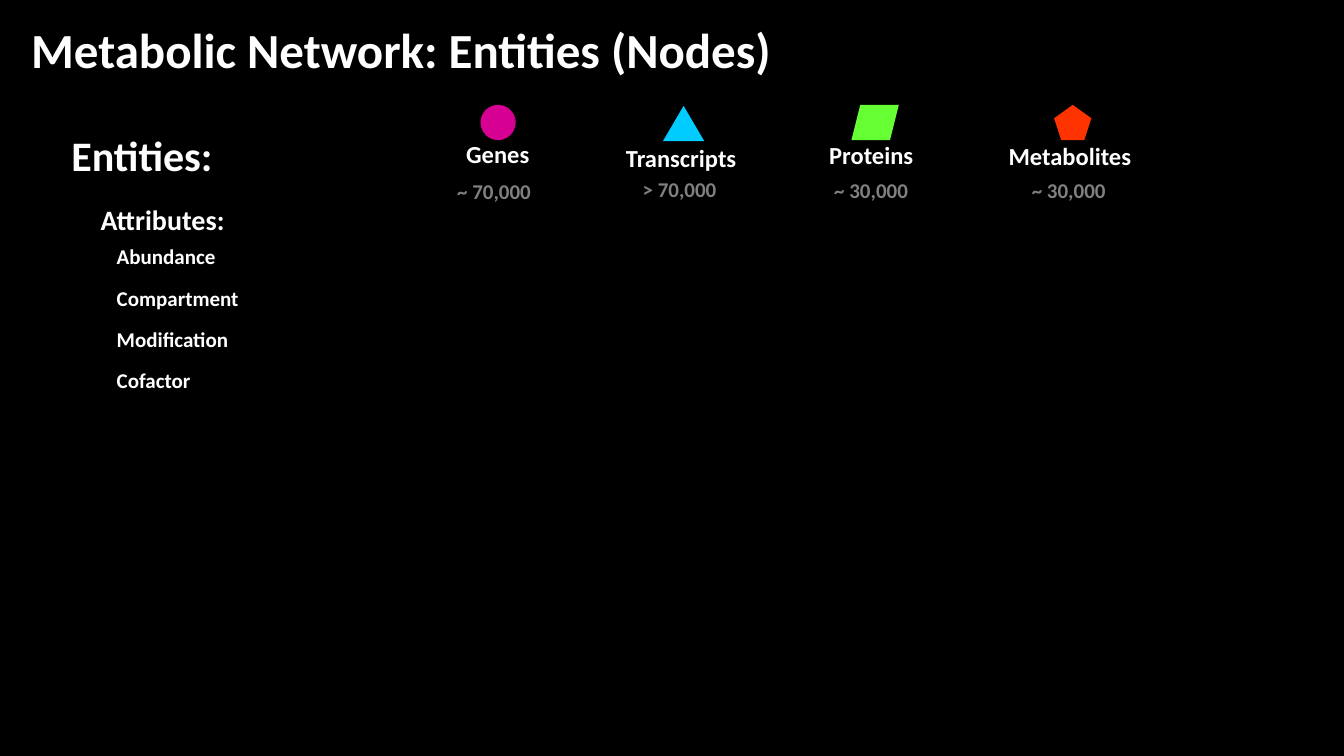
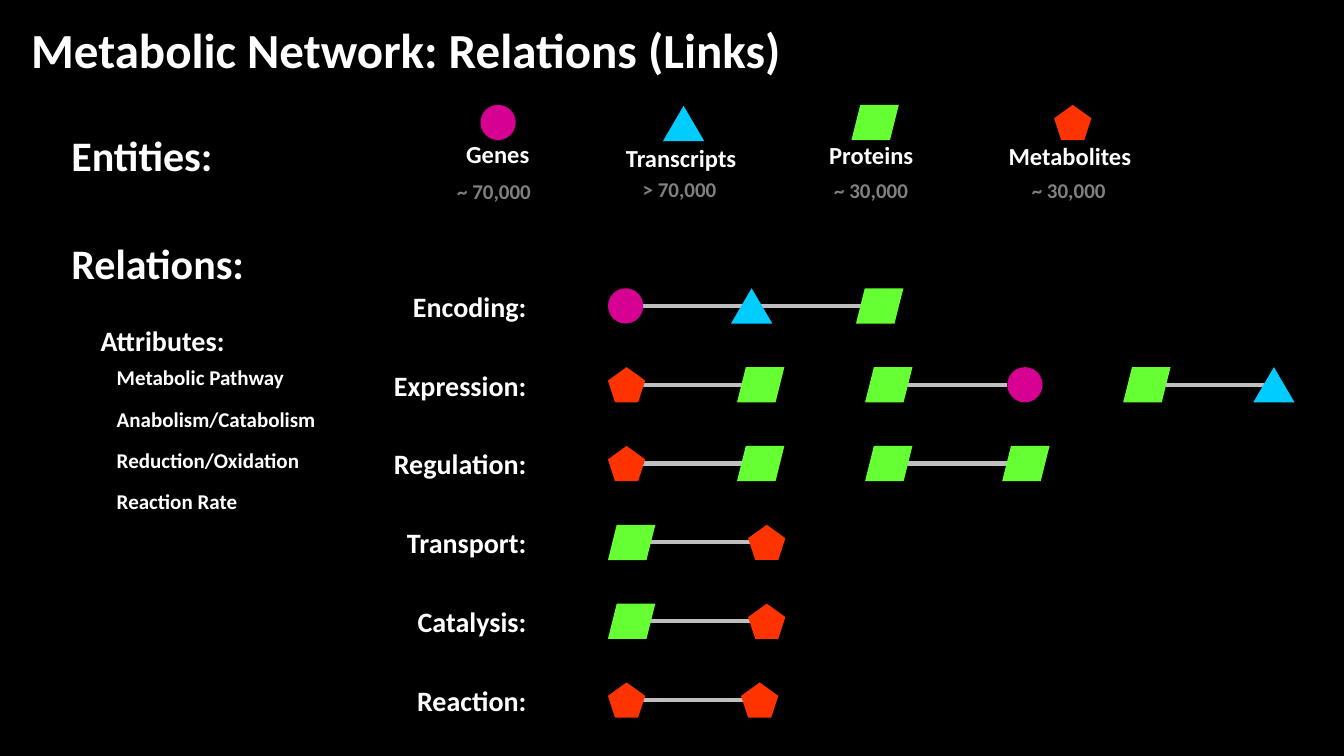
from dataclasses import dataclass

from lxml import etree
from pptx import Presentation
from pptx.dml.color import RGBColor
from pptx.enum.shapes import MSO_CONNECTOR, MSO_SHAPE
from pptx.enum.text import MSO_AUTO_SIZE, PP_ALIGN
from pptx.oxml.ns import qn
from pptx.shapes.shapetree import GroupShapes, SlideShapes
from pptx.slide import Slide
from pptx.util import Inches, Pt

STRAIGHT = MSO_CONNECTOR.STRAIGHT
LEFT, RIGHT = PP_ALIGN.LEFT, PP_ALIGN.RIGHT
GROW = MSO_AUTO_SIZE.SHAPE_TO_FIT_TEXT

FONT = "Calibri"
BLACK, WHITE, GRAY, LINK = "000000", "FFFFFF", "808080", "BFBFBF"

NODE_HEIGHT = 0.35
LINK_LENGTH = 1.0
FIRST_ROW, LAST_ROW = 2.86, 6.77
RELATION_RIGHT, RELATION_WIDTH = 5.32, 1.7
COUNT_WIDTH = 1.01
ATTRIBUTE_STEP = 0.41

Shapes = SlideShapes | GroupShapes


@dataclass(frozen=True)
class Node:
    kind: MSO_SHAPE
    color: str
    width: float


@dataclass(frozen=True)
class Entity:
    node: Node
    center: float
    top: float
    name: str
    name_top: float
    name_width: float
    count: str
    count_top: float


@dataclass(frozen=True)
class Relation:
    name: str
    links: tuple[float, ...]
    nodes: tuple[tuple[Node, float], ...]


GENE = Node(MSO_SHAPE.OVAL, "D60093", 0.35)
TRANSCRIPT = Node(MSO_SHAPE.ISOSCELES_TRIANGLE, "00CCFF", 0.41)
PROTEIN = Node(MSO_SHAPE.PARALLELOGRAM, "66FF33", 0.47)
METABOLITE = Node(MSO_SHAPE.REGULAR_PENTAGON, "FF3300", 0.37)

ENTITIES = (
    Entity(GENE, 4.94, 1.04, "Genes", 1.33, 0.83, "~ 70,000", 1.72),
    Entity(TRANSCRIPT, 6.78, 1.05, "Transcripts", 1.37, 1.34, "> 70,000", 1.7),
    Entity(PROTEIN, 8.68, 1.04, "Proteins", 1.34, 1.11, "~ 30,000", 1.71),
    Entity(METABOLITE, 10.64, 1.04, "Metabolites", 1.35, 1.47, "~ 30,000", 1.71),
)

# Link starts and node left edges, in inches
RELATIONS = (
    Relation("Encoding:", (6.37, 7.54),
             ((GENE, 6.03), (TRANSCRIPT, 7.25), (PROTEIN, 8.49))),
    Relation("Expression:", (6.37, 8.99, 11.56),
             ((METABOLITE, 6.03), (PROTEIN, 7.31), (PROTEIN, 8.58),
              (GENE, 9.99), (PROTEIN, 11.14), (TRANSCRIPT, 12.43))),
    Relation("Regulation:", (6.37, 8.99),
             ((METABOLITE, 6.03), (PROTEIN, 7.31), (PROTEIN, 8.58), (PROTEIN, 9.94))),
    Relation("Transport:", (6.44,), ((PROTEIN, 6.03), (METABOLITE, 7.42))),
    Relation("Catalysis:", (6.44,), ((PROTEIN, 6.03), (METABOLITE, 7.42))),
    Relation("Reaction:", (6.38,), ((METABOLITE, 6.03), (METABOLITE, 7.35))),
)


def rgb(color: str) -> RGBColor:
    return RGBColor.from_string(color)


def add_text(shapes: Shapes, text: str, left: float, top: float, width: float, *,
             size: float, color: str = WHITE, align: PP_ALIGN = LEFT) -> None:
    height = size / 60 + 0.1
    box = shapes.add_textbox(Inches(left), Inches(top), Inches(width), Inches(height))
    frame = box.text_frame
    frame.word_wrap = True
    frame.auto_size = GROW
    paragraph = frame.paragraphs[0]
    paragraph.alignment = align
    run = paragraph.add_run()
    run.text = text
    run.font.name = FONT
    run.font.size = Pt(size)
    run.font.bold = True
    run.font.color.rgb = rgb(color)


def add_node(shapes: Shapes, node: Node, left: float, top: float) -> None:
    shape = shapes.add_shape(node.kind, Inches(left), Inches(top),
                             Inches(node.width), Inches(NODE_HEIGHT))
    shape.shadow.inherit = False
    shape.fill.solid()
    shape.fill.fore_color.rgb = rgb(node.color)
    shape.line.fill.background()


def add_link(shapes: Shapes, left: float, middle: float) -> None:
    connector = shapes.add_connector(STRAIGHT, Inches(left), Inches(middle),
                                     Inches(left + LINK_LENGTH), Inches(middle))
    connector.line.color.rgb = rgb(LINK)
    connector.line.width = Pt(3)
    etree.SubElement(connector._element.spPr, qn("a:effectLst"))


def add_entity(slide: Slide, entity: Entity) -> None:
    shapes = slide.shapes.add_group_shape().shapes
    add_node(shapes, entity.node, entity.center - entity.node.width / 2, entity.top)
    add_text(shapes, entity.name, entity.center - entity.name_width / 2,
             entity.name_top, entity.name_width, size=17.5)
    add_text(shapes, entity.count, entity.center - COUNT_WIDTH / 2,
             entity.count_top, COUNT_WIDTH, size=15, color=GRAY)


def add_relation(slide: Slide, relation: Relation, top: float) -> None:
    shapes = slide.shapes.add_group_shape().shapes
    add_text(shapes, relation.name, RELATION_RIGHT - RELATION_WIDTH, top - 0.04,
             RELATION_WIDTH, size=20, align=RIGHT)
    for left in relation.links:
        add_link(shapes, left, top + NODE_HEIGHT / 2)
    for node, left in relation.nodes:
        add_node(shapes, node, left, top)


def add_heading(slide: Slide, text: str, top: float) -> None:
    add_text(slide.shapes, text, 0.61, top, 2.2, size=30)


def add_attributes(slide: Slide, top: float, names: tuple[str, ...]) -> None:
    add_text(slide.shapes, "Attributes:", 0.9, top, 1.6, size=20)
    for number, name in enumerate(names, start=1):
        add_text(slide.shapes, name, 1.06, top + number * ATTRIBUTE_STEP, 2.4, size=15)


def add_network_slide(presentation: Presentation, title: str) -> Slide:
    """Add a slide with the title and the row of entities."""
    slide = presentation.slides.add_slide(presentation.slide_layouts[6])
    add_text(slide.shapes, title, 0.21, 0.14, 12.43, size=35)
    add_heading(slide, "Entities:", 1.24)
    for entity in ENTITIES:
        add_entity(slide, entity)
    return slide


def main() -> None:
    presentation = Presentation()
    presentation.slide_width = Inches(13.33)
    presentation.slide_height = Inches(7.5)

    # Shared background
    background = presentation.slide_master.background.fill
    background.solid()
    background.fore_color.rgb = rgb(BLACK)

    # Entities
    slide = add_network_slide(presentation, "Metabolic Network: Entities (Nodes)")
    add_attributes(slide, 1.96, ("Abundance", "Compartment", "Modification", "Cofactor"))

    # Relations
    slide = add_network_slide(presentation, "Metabolic Network: Relations (Links)")
    add_heading(slide, "Relations:", 2.31)
    add_attributes(slide, 3.16, ("Metabolic Pathway", "Anabolism/Catabolism",
                                 "Reduction/Oxidation", "Reaction Rate"))
    row_step = (LAST_ROW - FIRST_ROW) / (len(RELATIONS) - 1)
    for row, relation in enumerate(RELATIONS):
        add_relation(slide, relation, FIRST_ROW + row * row_step)

    presentation.save("out.pptx")


if __name__ == "__main__":
    main()
